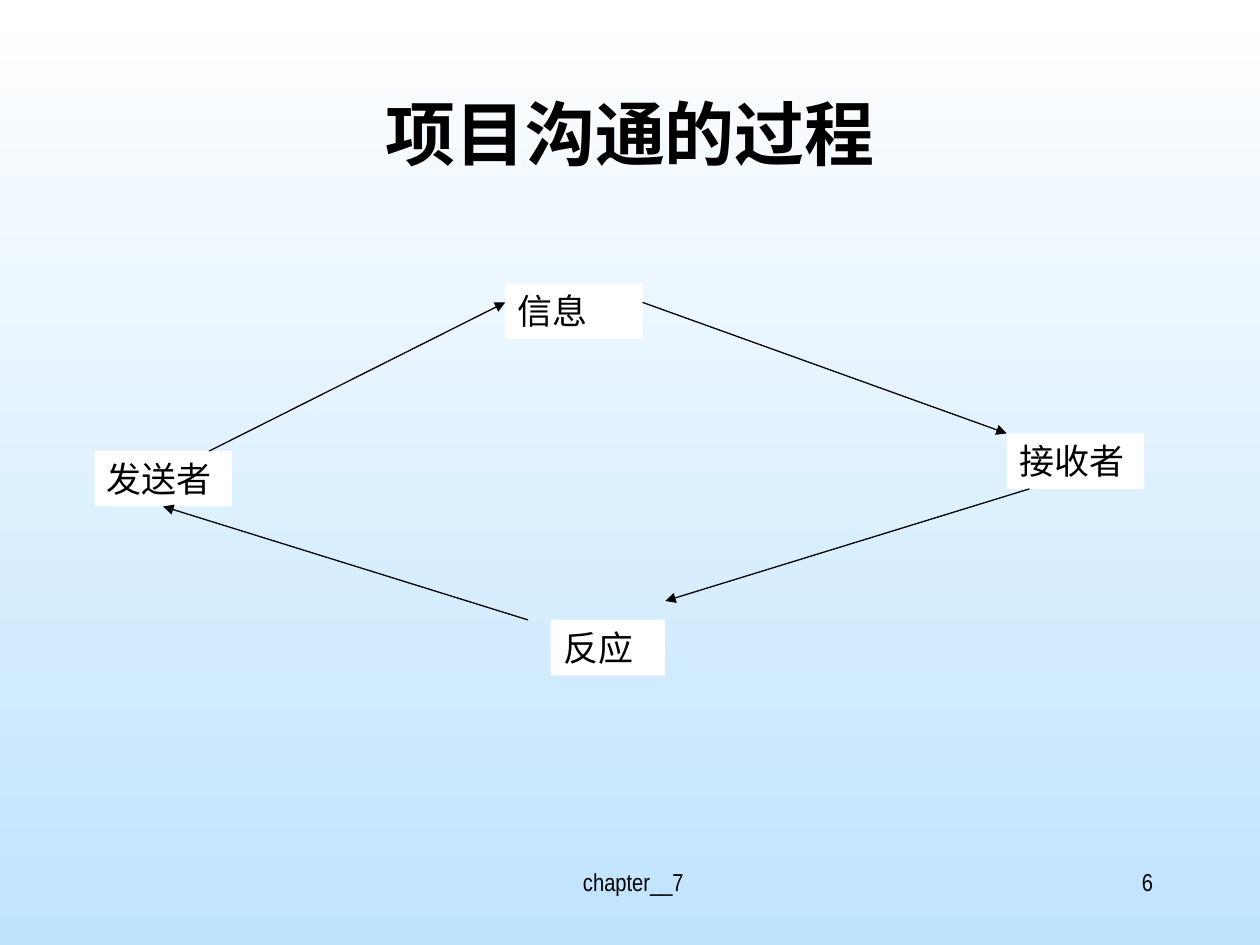
"""Build the slide showing the project communication cycle."""
from dataclasses import dataclass
from typing import Optional

from lxml import etree
from pptx import Presentation, util as u
from pptx.dml import color
from pptx.enum import shapes, text
from pptx.oxml import ns

CJK_FONT = "Noto Sans CJK SC"
BLACK, WHITE, SKY = "000000", "FFFFFF", "C0E3FE"
ROLE_HEIGHT = 0.44


@dataclass
class Role:
    label: str
    left: float
    top: float
    width: float = 1.09


@dataclass
class Flow:
    start: tuple[float, float]
    end: tuple[float, float]
    receiver: Optional[str] = None


ROLES = [
    Role("发送者", 0.75, 3.58),
    Role("接收者", 7.99, 3.44),
    Role("信息", 4.01, 2.25),
    Role("反应", 4.37, 4.92, 0.91),
]
FLOWS = [
    Flow((1.66, 3.58), (4.01, 2.4)),
    Flow((5.1, 2.4), (7.99, 3.44)),
    Flow((8.17, 3.88), (5.28, 4.77)),
    Flow((4.19, 4.92), (1.29, 4.03), "发送者"),
]


def rgb(hex_code: str) -> color.RGBColor:
    return color.RGBColor.from_string(hex_code)


def write(frame, wording: str, size: int, font: str, align, anchor, bold=False) -> None:
    frame.word_wrap = True
    frame.auto_size = text.MSO_AUTO_SIZE.NONE
    frame.vertical_anchor = anchor
    paragraph = frame.paragraphs[0]
    paragraph.alignment = align
    run = paragraph.add_run()
    run.text = wording
    run.font.size = u.Pt(size)
    run.font.bold = bold
    run.font.name = font
    run.font.color.rgb = rgb(BLACK)
    east_asian = etree.SubElement(run.font._element, ns.qn("a:ea"))
    east_asian.set("typeface", CJK_FONT)


def add_footer(slide, wording: str, left: float, width: float, align) -> None:
    footer = slide.shapes.add_textbox(
        u.Inches(left), u.Inches(6.83), u.Inches(width), u.Inches(0.5))
    write(footer.text_frame, wording, 14, "Arial Narrow", align, text.MSO_ANCHOR.TOP)


def add_role(slide, role: Role):
    box = slide.shapes.add_shape(
        shapes.MSO_SHAPE.RECTANGLE, u.Inches(role.left), u.Inches(role.top),
        u.Inches(role.width), u.Inches(ROLE_HEIGHT))
    box.shadow.inherit = False
    box.fill.solid()
    box.fill.fore_color.rgb = rgb(WHITE)
    box.line.fill.background()
    write(box.text_frame, role.label, 20, "Times New Roman",
          text.PP_ALIGN.JUSTIFY, text.MSO_ANCHOR.TOP)
    return box


def add_flow(slide, flow: Flow, boxes: dict) -> None:
    arrow = slide.shapes.add_connector(
        shapes.MSO_CONNECTOR.STRAIGHT, *map(u.Inches, flow.start + flow.end))
    if flow.receiver:
        arrow.end_connect(boxes[flow.receiver], 2)
    arrow.line.color.rgb = rgb(BLACK)
    arrow.line.width = u.Pt(0.75)
    properties = arrow._element.spPr
    tail = etree.SubElement(properties.find(ns.qn("a:ln")), ns.qn("a:tailEnd"))
    tail.set("type", "triangle")
    etree.SubElement(properties, ns.qn("a:effectLst"))


def main() -> None:
    deck = Presentation()
    deck.slide_width, deck.slide_height = u.Inches(10), u.Inches(7.5)
    slide = deck.slides.add_slide(deck.slide_layouts[5])

    backdrop = slide.background.fill
    backdrop.gradient()
    backdrop.gradient_angle = 270
    for stop, shade in zip(backdrop.gradient_stops, (WHITE, SKY)):
        stop.color.rgb = rgb(shade)

    add_footer(slide, " chapter__7", 3.42, 3.17, text.PP_ALIGN.CENTER)
    add_footer(slide, "6", 7.17, 2.08, text.PP_ALIGN.RIGHT)

    title = slide.shapes.title
    title.left, title.top = u.Inches(0.75), u.Inches(0.67)
    title.width, title.height = u.Inches(8.5), u.Inches(1.25)
    write(title.text_frame, "项目沟通的过程", 40, CJK_FONT,
          text.PP_ALIGN.CENTER, text.MSO_ANCHOR.TOP, bold=True)

    boxes = {role.label: add_role(slide, role) for role in ROLES}
    for flow in FLOWS:
        add_flow(slide, flow, boxes)

    deck.save("out.pptx")


if __name__ == "__main__":
    main()
